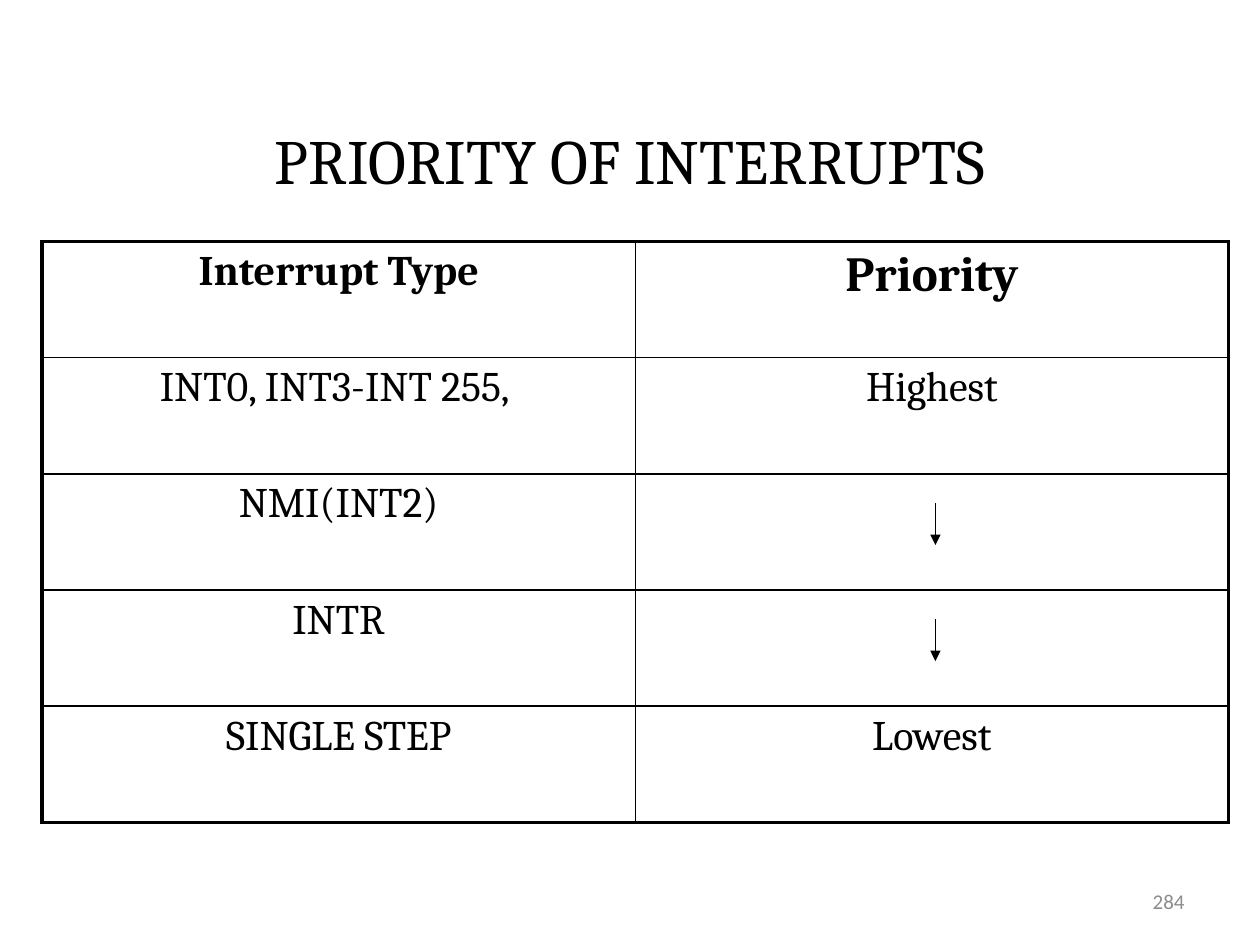
from lxml.etree import SubElement
from pptx import Presentation
from pptx.dml.color import RGBColor
from pptx.enum.shapes import MSO_CONNECTOR
from pptx.enum.text import MSO_ANCHOR, PP_ALIGN
from pptx.oxml.ns import qn
from pptx.util import Pt

COLORS = {"ink": "000000", "page_number": "8C8C8C"}
OUTER, INNER = 2.25, 1
PRIORITIES = [
    ("Interrupt Type", "Priority"),
    ("INT0, INT3-INT 255, ", "Highest"),
    ("NMI(INT2)", ""),
    ("INTR", ""),
    ("SINGLE STEP", "Lowest"),
]


def write(frame, text, size, font="Cambria", color="ink", bold=False, align=PP_ALIGN.CENTER):
    paragraph = frame.paragraphs[0]
    paragraph.alignment = align
    run = paragraph.add_run()
    run.text = text
    run.font.name, run.font.size, run.font.bold = font, Pt(size), bold
    run.font.color.rgb = RGBColor.from_string(COLORS[color])


def add_text(slide, box, text, size, anchor=MSO_ANCHOR.TOP, **style):
    frame = slide.shapes.add_textbox(*map(Pt, box)).text_frame
    frame.word_wrap = True
    frame.vertical_anchor = anchor
    write(frame, text, size, **style)


def set_borders(cell, **widths):
    properties = cell._tc.get_or_add_tcPr()
    for side, width in widths.items():
        line = SubElement(properties, qn(f"a:ln{side}"), w=str(Pt(width)))
        fill = SubElement(line, qn("a:solidFill"))
        SubElement(fill, qn("a:srgbClr"), val=COLORS["ink"])


def add_down_arrow(slide, x, top, length):
    arrow = slide.shapes.add_connector(MSO_CONNECTOR.STRAIGHT, Pt(x), Pt(top), Pt(x), Pt(top + length))
    arrow.line.color.rgb = RGBColor.from_string(COLORS["ink"])
    arrow.line.width = Pt(0.75)
    SubElement(arrow.line._get_or_add_ln(), qn("a:tailEnd"), type="triangle")
    SubElement(arrow._element.spPr, qn("a:effectLst"))


def add_priority_table(slide, box):
    """Bordered table, with a down arrow in each row that names no priority."""
    left, top, width, height = box
    last_row, last_column = len(PRIORITIES) - 1, len(PRIORITIES[0]) - 1
    row_height = height / len(PRIORITIES)
    table = slide.shapes.add_table(last_row + 1, last_column + 1, *map(Pt, box)).table
    table.first_row = table.horz_banding = False

    for r, texts in enumerate(PRIORITIES):
        table.rows[r].height = Pt(row_height)
        for c, text in enumerate(texts):
            cell = table.cell(r, c)
            set_borders(
                cell,
                L=OUTER if c == 0 else INNER,
                R=OUTER if c == last_column else INNER,
                T=OUTER if r == 0 else INNER,
                B=OUTER if r == last_row else INNER,
            )
            cell.fill.background()
            if text:
                write(cell.text_frame, text, 28 if text == "Priority" else 24, bold=r == 0)
            else:
                add_down_arrow(slide, left + 0.753 * width, top + (r + 0.25) * row_height, 24)


def build_slide(slide, width, height):
    add_text(slide, (0, 66, width, 51), "PRIORITY OF INTERRUPTS", 36)
    add_priority_table(slide, (24, 138, 678, 332))
    add_text(slide, (width - 204, height - 39.5, 168, 28.75), "284", 12, anchor=MSO_ANCHOR.MIDDLE,
             font="Calibri", color="page_number", align=PP_ALIGN.RIGHT)


def main():
    presentation = Presentation()
    width, height = 720, 540
    presentation.slide_width, presentation.slide_height = Pt(width), Pt(height)
    build_slide(presentation.slides.add_slide(presentation.slide_layouts[6]), width, height)
    presentation.save("out.pptx")


if __name__ == "__main__":
    main()
